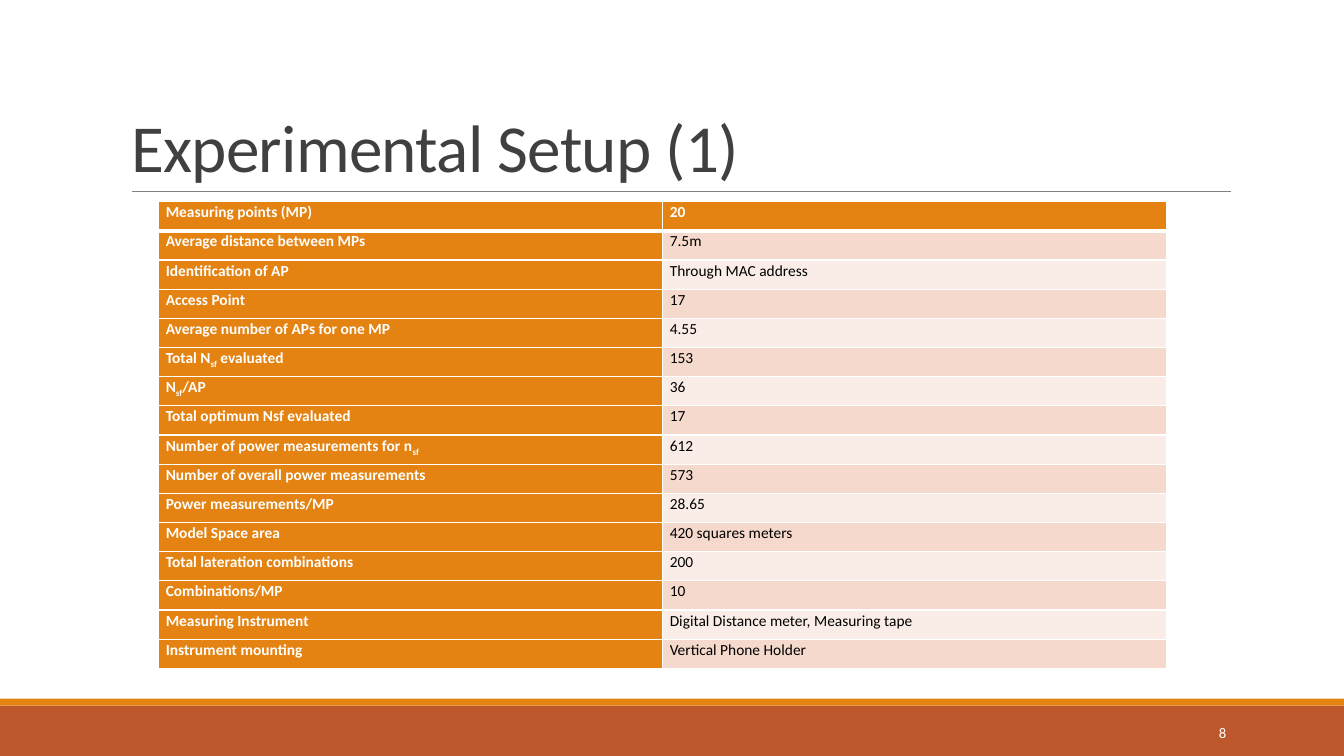
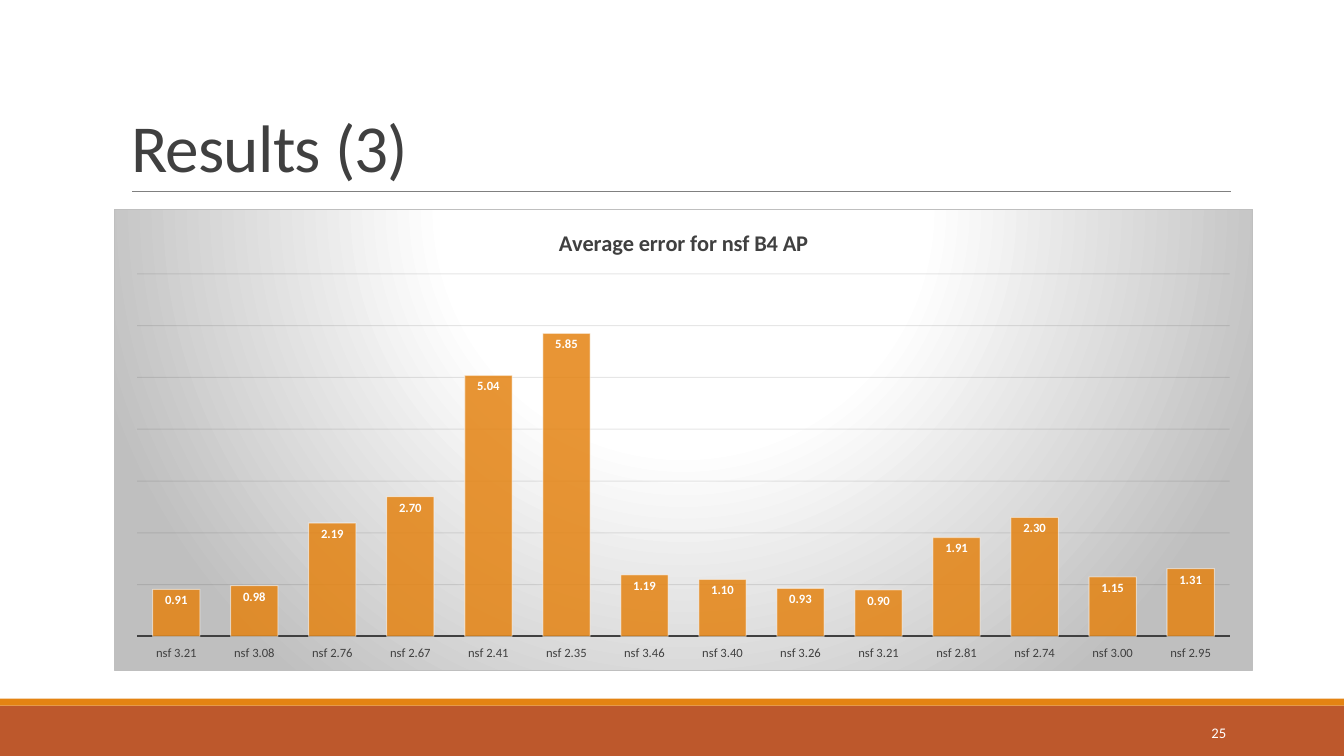
from lxml import etree
from pptx import Presentation
from pptx.chart.data import CategoryChartData
from pptx.dml.color import RGBColor
from pptx.enum.chart import XL_CHART_TYPE as CHART, XL_LABEL_POSITION as LABEL_POS
from pptx.enum.chart import XL_TICK_LABEL_POSITION as TICK_LABELS, XL_TICK_MARK as TICK
from pptx.enum.shapes import MSO_CONNECTOR as CONNECTOR, MSO_SHAPE as SHAPE
from pptx.enum.text import MSO_ANCHOR as ANCHOR, MSO_AUTO_SIZE as AUTO_SIZE
from pptx.enum.text import PP_ALIGN as ALIGN
from pptx.oxml import parse_xml
from pptx.oxml.ns import nsdecls, qn
from pptx.util import Pt

WIDTH, HEIGHT = 960, 540
FONT = "Calibri"
COLORS = {
    "orange": "E48312", "rust": "BD582C", "white": "FFFFFF", "black": "000000",
    "text": "404040", "rule": "808080", "odd_row": "F5D9CC", "even_row": "FAEDE7",
    "silver": "BFBFBF", "grid": "0D0D0D",
}

# Text between bars is set as a subscript.
SETUP = [
    ("Measuring points (MP)", "20"),
    ("Average distance between MPs", "7.5m"),
    ("Identification of AP", "Through MAC address"),
    ("Access Point", "17"),
    ("Average number of APs for one MP", "4.55"),
    ("Total N|sf| evaluated", "153"),
    ("N|sf|/AP", "36"),
    ("Total optimum Nsf evaluated", "17"),
    ("Number of power measurements for n|sf|", "612"),
    ("Number of overall power measurements", "573"),
    ("Power measurements/MP", "28.65"),
    ("Model Space area", "420 squares meters"),
    ("Total lateration combinations", "200"),
    ("Combinations/MP", "10"),
    ("Measuring Instrument", "Digital Distance meter, Measuring tape"),
    ("Instrument mounting", "Vertical Phone Holder"),
]
ERRORS = [
    ("nsf 3.21", 0.91), ("nsf 3.08", 0.98), ("nsf 2.76", 2.19), ("nsf 2.67", 2.7),
    ("nsf 2.41", 5.04), ("nsf 2.35", 5.85), ("nsf 3.46", 1.19), ("nsf 3.40", 1.1),
    ("nsf 3.26", 0.93), ("nsf 3.21", 0.9), ("nsf 2.81", 1.91), ("nsf 2.74", 2.3),
    ("nsf 3.00", 1.15), ("nsf 2.95", 1.31),
]


def rgb(name):
    return RGBColor.from_string(COLORS[name])


def set_font(font, size, color, bold=False):
    font.name, font.size, font.bold = FONT, Pt(size), bold
    font.color.rgb = rgb(color)


def set_line(line, color, width):
    line.color.rgb = rgb(color)
    line.width = Pt(width)


def set_alpha(fill_parent, percent):
    """Make the solid colour inside an element partly transparent."""
    color = next(fill_parent.iter(qn("a:srgbClr")))
    etree.SubElement(color, qn("a:alpha")).set("val", str(percent * 1000))


def write(p, text, size=11, color="black", bold=False, align=ALIGN.LEFT,
          spacing=None, tracking=0):
    p.alignment = align
    if spacing:
        p.line_spacing = spacing
    for i, part in enumerate(text.split("|")):
        if not part:
            continue
        r = p.add_run()
        r.text = part
        set_font(r.font, size, color, bold)
        props = r._r.get_or_add_rPr()
        if tracking:
            props.set("spc", str(round(tracking * 100)))
        if i % 2:
            props.set("baseline", "-25000")


def set_borders(cell, top, bottom):
    props = cell._tc.get_or_add_tcPr()
    for side, width in (("L", 1), ("R", 1), ("T", top), ("B", bottom)):
        props.append(parse_xml(
            f'<a:ln{side} {nsdecls("a")} w="{Pt(width)}"><a:solidFill>'
            f'<a:srgbClr val="{COLORS["white"]}"/></a:solidFill></a:ln{side}>'))


def set_chart_area(chart):
    """Give the whole chart a radial grey gradient and a thin border."""
    stops = "".join(
        f'<a:gs pos="{pos * 1000}"><a:srgbClr val="{COLORS[color]}"/></a:gs>'
        for pos, color in ((0, "white"), (39, "white"), (100, "silver")))
    area = parse_xml(
        f'<c:spPr {nsdecls("c", "a")}><a:gradFill><a:gsLst>{stops}</a:gsLst>'
        '<a:path path="circle">'
        '<a:fillToRect l="50000" t="-80000" r="50000" b="180000"/></a:path></a:gradFill>'
        f'<a:ln w="{Pt(0.75)}"><a:solidFill><a:srgbClr val="{COLORS["silver"]}"/>'
        '</a:solidFill></a:ln></c:spPr>')
    chart._chartSpace.find(qn("c:chart")).addnext(area)


class Deck:
    def __init__(self):
        self.prs = Presentation()
        self.prs.slide_width, self.prs.slide_height = Pt(WIDTH), Pt(HEIGHT)
        self.s = None

    def new_slide(self, title, number):
        self.s = self.prs.slides.add_slide(self.prs.slide_layouts[5])
        self.band(504, 36, "rust")
        self.band(499, 5, "orange")
        self.rule(94.5, 879, 137)
        self.title(title)
        self.page_number(number)

    def band(self, top, height, color):
        sp = self.s.shapes.add_shape(SHAPE.RECTANGLE, 0, Pt(top), Pt(WIDTH), Pt(height))
        sp.shadow.inherit = False
        sp.fill.solid()
        sp.fill.fore_color.rgb = rgb(color)
        sp.line.fill.background()

    def rule(self, left, right, y):
        line = self.s.shapes.add_connector(
            CONNECTOR.STRAIGHT, Pt(left), Pt(y), Pt(right), Pt(y))
        set_line(line.line, "rule", 0.5)
        etree.SubElement(line._element.spPr, qn("a:effectLst"))

    def title(self, text):
        sp = self.s.shapes.title
        sp.left, sp.top, sp.width, sp.height = Pt(86.4), Pt(22.6), Pt(792), Pt(114.2)
        tf = sp.text_frame
        tf.auto_size, tf.vertical_anchor = AUTO_SIZE.NONE, ANCHOR.BOTTOM
        write(tf.paragraphs[0], text, size=48, color="text", spacing=0.85, tracking=-0.5)

    def page_number(self, number):
        tf = self.s.shapes.add_textbox(Pt(780), Pt(508.6), Pt(103), Pt(28.8)).text_frame
        tf.word_wrap, tf.vertical_anchor = True, ANCHOR.MIDDLE
        write(tf.paragraphs[0], str(number), size=10.5, color="white", align=ALIGN.RIGHT)

    def table(self, rows, left, top, width, height):
        table = self.s.shapes.add_table(
            len(rows), 2, Pt(left), Pt(top), Pt(width), Pt(height)).table
        for i, row in enumerate(rows):
            table.rows[i].height = Pt(height / len(rows))
            for j, text in enumerate(row):
                cell = table.cell(i, j)
                heading = i == 0 or j == 0
                cell.margin_left = cell.margin_right = Pt(5)
                cell.margin_top = cell.margin_bottom = 0
                set_borders(cell, top=3 if i == 1 else 1, bottom=3 if i == 0 else 1)
                cell.fill.solid()
                cell.fill.fore_color.rgb = rgb(
                    "orange" if heading else "odd_row" if i % 2 else "even_row")
                write(cell.text_frame.paragraphs[0], text, bold=heading,
                      color="white" if heading else "black",
                      align=ALIGN.JUSTIFY, spacing=1.07)

    def column_chart(self, title, points, left, top, width, height):
        data = CategoryChartData(number_format="0.00")
        data.categories = [name for name, _ in points]
        data.add_series("Series 1", [value for _, value in points])
        chart = self.s.shapes.add_chart(
            CHART.COLUMN_CLUSTERED, Pt(left), Pt(top), Pt(width), Pt(height), data).chart
        set_font(chart.font, 10, "black")
        set_chart_area(chart)
        chart.has_legend = False
        chart.has_title = True
        write(chart.chart_title.text_frame.paragraphs[0], title, size=16,
              color="text", bold=True, align=ALIGN.CENTER)
        chart.chart_title.include_in_layout = False

        names = chart.category_axis
        names.major_tick_mark = names.minor_tick_mark = TICK.NONE
        names.tick_label_position = TICK_LABELS.LOW
        set_font(names.tick_labels.font, 9, "text")
        set_line(names.format.line, "text", 1.5)

        values = chart.value_axis
        values.visible = False
        values.minimum_scale, values.maximum_scale, values.major_unit = 0, 7, 1
        grid = values.major_gridlines
        set_line(grid.format.line, "grid", 0.75)
        set_alpha(values._element.find(qn("c:majorGridlines")), 10)

        plot = chart.plots[0]
        plot.gap_width, plot.vary_by_categories = 65, False
        bars = plot.series[0].format
        bars.fill.solid()
        bars.fill.fore_color.rgb = rgb("orange")
        shape_props = plot.series[0]._element.spPr
        set_alpha(shape_props, 85)
        set_line(bars.line, "white", 0.75)
        set_alpha(shape_props.find(qn("a:ln")), 50)
        plot.has_data_labels = True
        labels = plot.data_labels
        labels.show_value, labels.position = True, LABEL_POS.INSIDE_END
        labels.number_format, labels.number_format_is_linked = "0.00", False
        set_font(labels.font, 9, "white", bold=True)


def main():
    deck = Deck()
    deck.new_slide("Experimental Setup (1)", 8)
    deck.table(SETUP, 113.4, 144, 720, 333.4)
    deck.new_slide("Results (3)", 25)
    deck.column_chart("Average error for nsf B4 AP", ERRORS, 81.4, 149.3, 813.6, 329.8)
    deck.prs.save("out.pptx")


if __name__ == "__main__":
    main()
